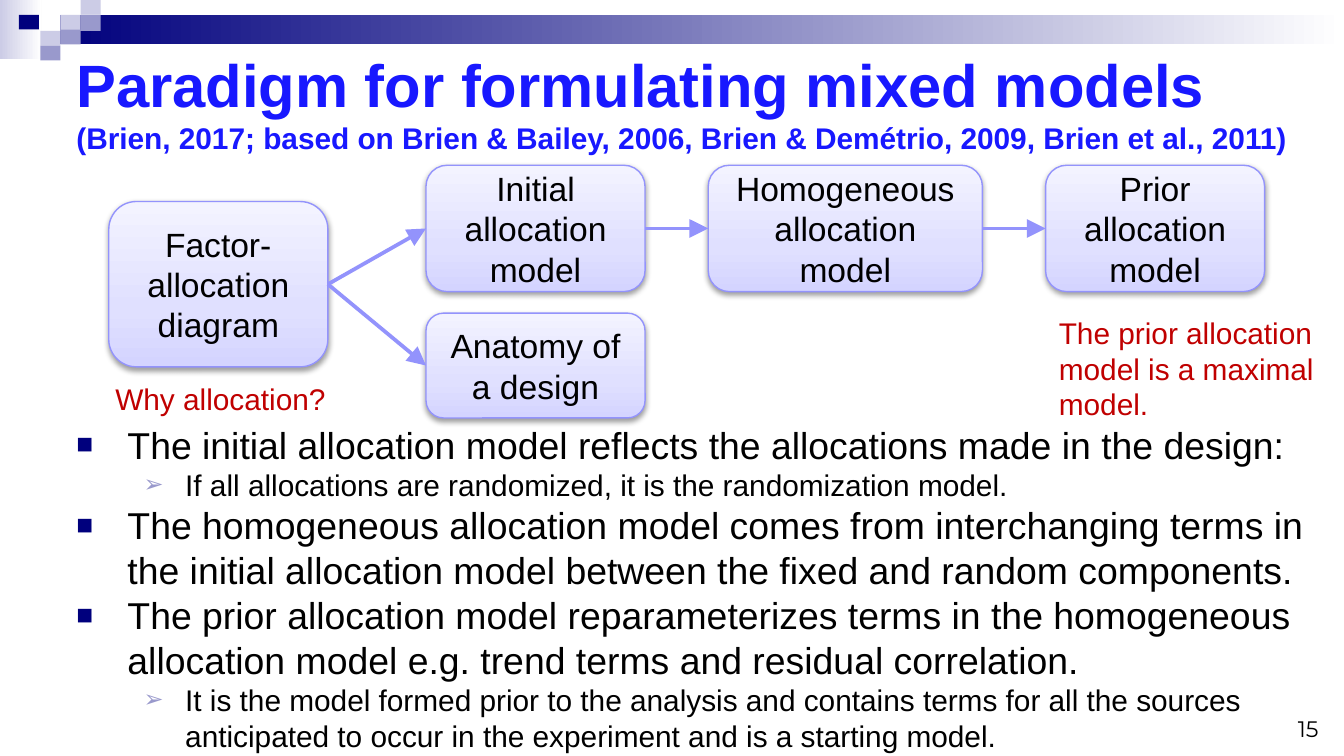
from lxml import etree
from pptx import Presentation
from pptx.dml.color import RGBColor
from pptx.enum.shapes import MSO_CONNECTOR, MSO_SHAPE
from pptx.enum.text import MSO_ANCHOR, PP_ALIGN
from pptx.oxml.ns import qn
from pptx.util import Pt

PX = 9144  # 100 px to the inch
NAVY, VIOLET, PALE = "00007D", "9999CC", "CCCCE6"
BLUE, RED, BLACK, EDGE = "1818FF", "C00000", "000000", "9393FC"
BOX_STOPS = [(0, "D4D4FF"), (35, "E0E0FF"), (100, "F3F3FF")]
# Bullet styles by level: left edge, hanging indent, colour, size in percent, sign
BULLETS = [(38, 38, NAVY, 75, "■"), (81, 31, VIOLET, 80, "➢")]


def color(value):
    return RGBColor.from_string(value)


def add_xml(parent, tag, **attributes):
    values = {name: str(value) for name, value in attributes.items()}
    return etree.SubElement(parent, qn(tag), values)


class SlideBuilder:
    font = "Arial"

    def __init__(self, presentation):
        self.slide = presentation.slides.add_slide(presentation.slide_layouts[6])
        self.shapes = self.slide.shapes

    def run(self, paragraph, text, size, tone=BLACK, **extra):
        run = paragraph.add_run()
        run.text = text
        style = {"name": self.font, "size": Pt(size), **extra}
        for name, value in style.items():
            setattr(run.font, name, value)
        run.font.color.rgb = color(tone)

    def gradient(self, shape, stops, angle):
        shape.fill.gradient()
        shape.fill.gradient_angle = angle
        stop_list = shape.element.spPr.find(qn("a:gradFill")).find(qn("a:gsLst"))
        stop_list.clear()
        for position, tone in stops:
            stop = add_xml(stop_list, "a:gs", pos=position * 1000)
            add_xml(stop, "a:srgbClr", val=tone)

    def shape(self, kind, *frame):
        shape = self.shapes.add_shape(kind, *(length * PX for length in frame))
        shape.shadow.inherit = False
        return shape

    def tile(self, frame, *tones):
        tile = self.shape(MSO_SHAPE.RECTANGLE, *frame)
        tile.line.fill.background()
        if len(tones) == 2:
            self.gradient(tile, zip((0, 100), tones), 0)
        else:
            tile.fill.solid()
            tile.fill.fore_color.rgb = color(tones[0])

    def box(self, text, *frame):
        box = self.shape(MSO_SHAPE.ROUNDED_RECTANGLE, *frame)
        self.gradient(box, BOX_STOPS, 90)
        box.line.color.rgb = color(EDGE)
        box.line.width = Pt(0.75)
        effects = box.element.spPr.find(qn("a:effectLst"))
        shadow = add_xml(effects, "a:outerShdw", blurRad=Pt(3.1), dist=Pt(1.6),
                         dir=5400000, rotWithShape=0)
        add_xml(add_xml(shadow, "a:srgbClr", val=BLACK), "a:alpha", val=38000)
        area = box.text_frame
        area.word_wrap = True
        area.vertical_anchor = MSO_ANCHOR.MIDDLE
        paragraph = area.paragraphs[0]
        paragraph.alignment = PP_ALIGN.CENTER
        self.run(paragraph, text, 18)
        return box

    def arrow(self, start, end):
        arrow = self.shapes.add_connector(MSO_CONNECTOR.STRAIGHT, 0, 0, 0, 0)
        arrow.begin_connect(start, 3)
        arrow.end_connect(end, 1)
        arrow.line.color.rgb = color(EDGE)
        arrow.line.width = Pt(2)
        properties = arrow.element.spPr
        add_xml(properties.find(qn("a:ln")), "a:tailEnd", type="triangle", w="lg", len="lg")
        add_xml(properties, "a:effectLst")

    def text_area(self, *frame, anchor=MSO_ANCHOR.TOP):
        area = self.shapes.add_textbox(*(length * PX for length in frame)).text_frame
        area.word_wrap = True
        area.vertical_anchor = anchor
        return area

    def note(self, text, *frame):
        self.run(self.text_area(*frame).paragraphs[0], text, 16, RED)

    def bullets(self, items, *frame):
        area = self.text_area(*frame)
        for index, (level, text) in enumerate(items):
            paragraph = area.add_paragraph() if index else area.paragraphs[0]
            paragraph.level = level
            left, hang, tone, percent, sign = BULLETS[level]
            properties = paragraph._p.get_or_add_pPr()
            properties.set("marL", str(left * PX))
            properties.set("indent", str(-hang * PX))
            add_xml(add_xml(properties, "a:buClr"), "a:srgbClr", val=tone)
            add_xml(properties, "a:buSzPct", val=percent * 1000)
            add_xml(properties, "a:buFont", typeface=self.font)
            add_xml(properties, "a:buChar", char=sign)
            self.run(paragraph, text, 16 if level else 20)


def main():
    presentation = Presentation()
    presentation.slide_width = 1000 * PX
    presentation.slide_height = presentation.slide_width * 9 // 16
    builder = SlideBuilder(presentation)

    # Header band and its mosaic of tiles
    builder.tile((0, 0, 31, 44), PALE, "FFFFFF")
    builder.tile((45, 11, 955, 22), NAVY, "FFFFFF")
    for left, top, height, tone in [
            (45, 11, 12, PALE), (60, 0, 11, PALE), (60, 11, 12, VIOLET), (30, 23, 11, PALE),
            (14, 11, 11, NAVY), (45, 22, 11, VIOLET), (30, 34, 11, VIOLET)]:
        builder.tile((left, top, 15, height), tone)

    # Title with its sources
    title = builder.text_area(47, 35, 945, 81, anchor=MSO_ANCHOR.MIDDLE).paragraphs[0]
    builder.run(title, "Paradigm for formulating mixed models", 32, BLUE, bold=True)
    title.add_line_break()
    builder.run(title, "(Brien, 2017; based on Brien & Bailey, 2006, Brien & Demétrio, 2009, "
                "Brien et al., 2011)", 16, BLUE, bold=True)

    # Explanation
    builder.bullets([
        (0, "The initial allocation model reflects the allocations made in the design:"),
        (1, "If all allocations are randomized, it is the randomization model."),
        (0, "The homogeneous allocation model comes from interchanging terms in the "
            "initial allocation model between the fixed and random components."),
        (0, "The prior allocation model reparameterizes terms in the homogeneous "
            "allocation model e.g. trend terms and residual correlation."),
        (1, "It is the model formed prior to the analysis and contains terms for all the "
            "sources anticipated to occur in the experiment and is a starting model."),
    ], 47, 309, 945, 253)

    # Slide number
    number = builder.text_area(758, 519, 233, 38, anchor=MSO_ANCHOR.BOTTOM).paragraphs[0]
    number.alignment = PP_ALIGN.RIGHT
    builder.run(number, "15", 12, name="Montserrat")

    # Flow of models
    diagram = builder.box("Factor-allocation diagram", 81, 150, 163, 123)
    anatomy = builder.box("Anatomy of a design", 317, 233, 163, 78)
    initial = builder.box("Initial allocation model", 317, 123, 163, 94)
    homogeneous = builder.box("Homogeneous allocation model", 527, 123, 204, 94)
    prior = builder.box("Prior allocation model", 778, 123, 163, 94)
    for start, end in [(diagram, anatomy), (diagram, initial),
                       (initial, homogeneous), (homogeneous, prior)]:
        builder.arrow(start, end)

    # Red remarks
    builder.note("The prior allocation model is a maximal model.", 778, 229, 219, 83)
    builder.note("Why allocation?", 76, 278, 186, 39)

    presentation.save("out.pptx")


if __name__ == "__main__":
    main()
